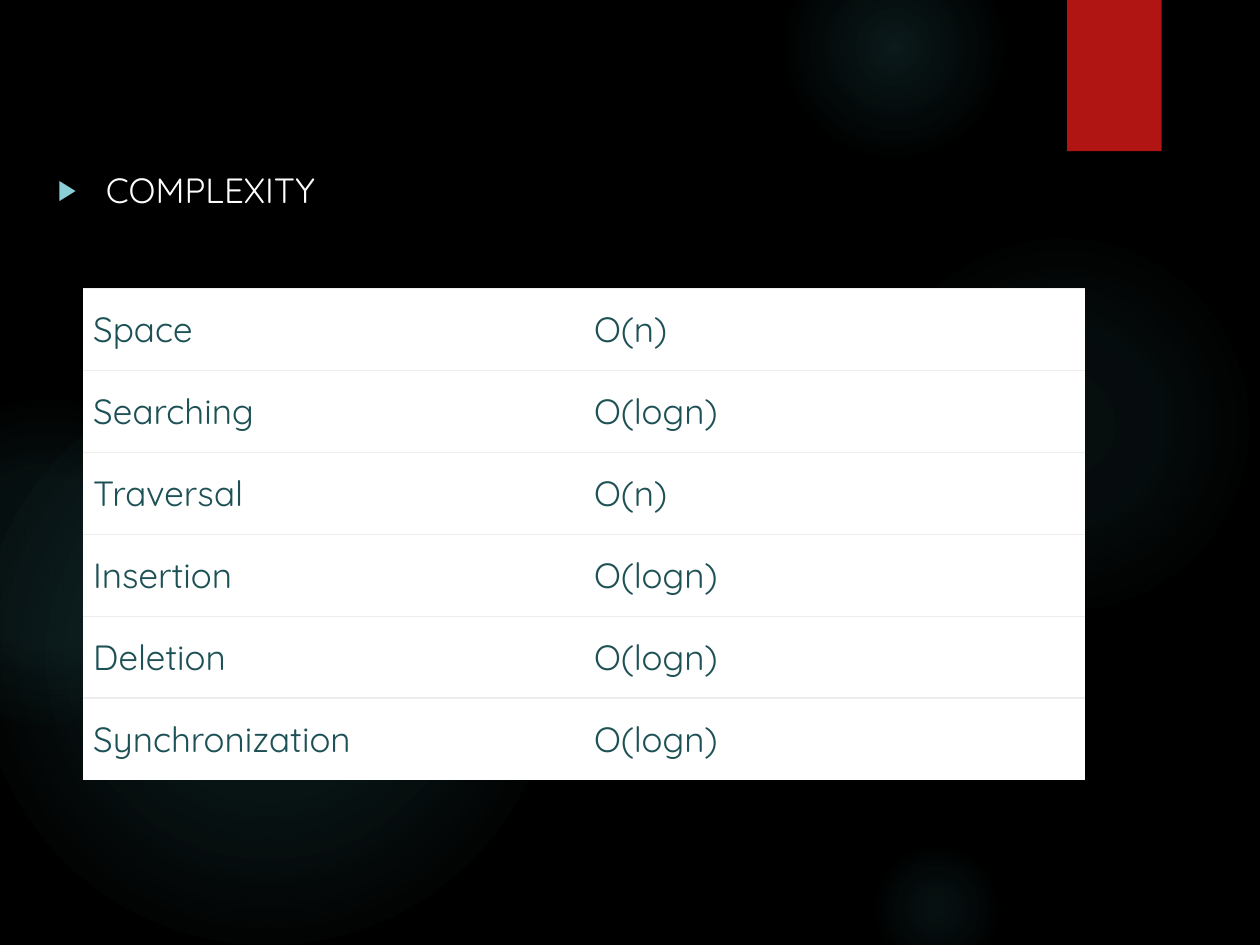
from pptx import Presentation
from pptx import util as u
from pptx.dml.color import RGBColor
from pptx.enum import shapes, text
from pptx.oxml import parse_xml
from pptx.oxml.ns import nsdecls

COLORS = {
    "background": "000000", "glow": "50B9C1", "ribbon": "B01513",
    "bullet": "8AD0D6", "heading": "FFFFFF", "cell": "FFFFFF",
    "cell_text": "1E5155", "rule": "EDEDED",
}
FONT = "Quicksand"
NS = nsdecls("a")


def color(name):
    return RGBColor.from_string(COLORS[name])


def add_run(paragraph, words, color_name):
    run = paragraph.add_run()
    run.text = words
    run.font.name = FONT
    run.font.size = u.Pt(20)
    run.font.color.rgb = color(color_name)


deck = Presentation()
deck.slide_width, deck.slide_height = u.Inches(10), u.Inches(7.5)
slide = deck.slides.add_slide(deck.slide_layouts[1])
slide.background.fill.solid()
slide.background.fill.fore_color.rgb = color("background")
title, heading = slide.placeholders
title._element.getparent().remove(title._element)

# Soft glows: left, top, diameter, then (position, opacity) stops in percent
glows = [
    (6.89, 1.83, 3.08, [(0, 7), (36, 6), (69, 0)]),
    (6.22, -0.5, 1.75, [(0, 14), (36, 7), (73, 0)]),
    (6.89, 6.67, 1.08, [(0, 9), (36, 5), (66, 0)]),
    (-0.17, 2.92, 4.58, [(0, 11), (36, 10), (75, 0)]),
    (-0.92, 3.17, 2.58, [(0, 8), (36, 8), (72, 0)]),
]
for left, top, diameter, stops in glows:
    glow = slide.shapes.add_shape(
        shapes.MSO_SHAPE.OVAL, u.Inches(left), u.Inches(top),
        u.Inches(diameter), u.Inches(diameter))
    glow.shadow.inherit = False
    glow.line.fill.background()
    stop_xml = "".join(
        f'<a:gs pos="{position * 1000}"><a:srgbClr val="{COLORS["glow"]}">'
        f'<a:alpha val="{opacity * 1000}"/></a:srgbClr></a:gs>'
        for position, opacity in stops)
    glow._element.spPr.find("{*}prstGeom").addnext(parse_xml(
        f'<a:gradFill {NS} rotWithShape="1"><a:gsLst>{stop_xml}</a:gsLst>'
        '<a:path path="circle"><a:fillToRect l="50000" t="50000" r="50000" b="50000"/>'
        '</a:path></a:gradFill>'))

# Red ribbon with a slight drop shadow
ribbon = slide.shapes.add_shape(
    shapes.MSO_SHAPE.RECTANGLE, u.Inches(8.47), 0, u.Inches(0.75), u.Inches(1.2))
ribbon.shadow.inherit = False
ribbon.fill.solid()
ribbon.fill.fore_color.rgb = color("ribbon")
ribbon.line.fill.background()
ribbon._element.spPr.find("{*}effectLst").append(parse_xml(
    f'<a:outerShdw {NS} blurRad="{u.Pt(3)}" dist="{u.Pt(2)}" dir="5400000" rotWithShape="0">'
    '<a:srgbClr val="000000"><a:alpha val="45000"/></a:srgbClr></a:outerShdw>'))

# Bulleted heading, in front of the decoration
slide.shapes._spTree.append(heading._element)
heading.left, heading.top = u.Inches(0.36), u.Inches(1.29)
heading.width, heading.height = u.Inches(9.28), u.Inches(5.65)
heading.text_frame.auto_size = text.MSO_AUTO_SIZE.NONE
heading_line = heading.text_frame.paragraphs[0]
heading_line.space_before = u.Pt(10)
add_run(heading_line, "COMPLEXITY", "heading")
bullet = heading_line._p.get_or_add_pPr()
bullet.set("marL", str(u.Inches(0.38)))
bullet.set("indent", str(-u.Inches(0.38)))
for bullet_xml in (
        f'<a:buClr {NS}><a:srgbClr val="{COLORS["bullet"]}"/></a:buClr>',
        f'<a:buSzPct {NS} val="80000"/>',
        f'<a:buChar {NS} char="\u25b6"/>'):
    bullet.append(parse_xml(bullet_xml))

# Complexity table
complexities = [
    ("Space", "O(n)"),
    ("Searching", "O(logn)"),
    ("Traversal", "O(n)"),
    ("Insertion", "O(logn)"),
    ("Deletion", "O(logn)"),
    ("Synchronization", "O(logn)"),
]
table = slide.shapes.add_table(
    len(complexities), 2, u.Inches(0.66), u.Inches(2.29),
    u.Inches(7.95), u.Inches(3.9)).table
table.first_row = table.horz_banding = False
rule = f'<a:solidFill><a:srgbClr val="{COLORS["rule"]}"/></a:solidFill>'
for row, entry in enumerate(complexities):
    table.rows[row].height = u.Inches(0.65)
    last = row == len(complexities) - 1
    for column, words in enumerate(entry):
        cell = table.cell(row, column)
        cell.vertical_anchor = text.MSO_ANCHOR.MIDDLE
        cell.margin_left = cell.margin_right = u.Inches(0.08)
        cell.margin_top = cell.margin_bottom = u.Inches(0.04)
        for side in "LRTB":
            ruled = side == "T" or (side == "B" and not last)
            cell._tc.get_or_add_tcPr().append(parse_xml(
                f'<a:ln{side} {NS} w="{u.Pt(0.75)}">'
                f'{rule if ruled else "<a:noFill/>"}</a:ln{side}>'))
        cell.fill.solid()
        cell.fill.fore_color.rgb = color("cell")
        add_run(cell.text_frame.paragraphs[0], words, "cell_text")

deck.save("out.pptx")
